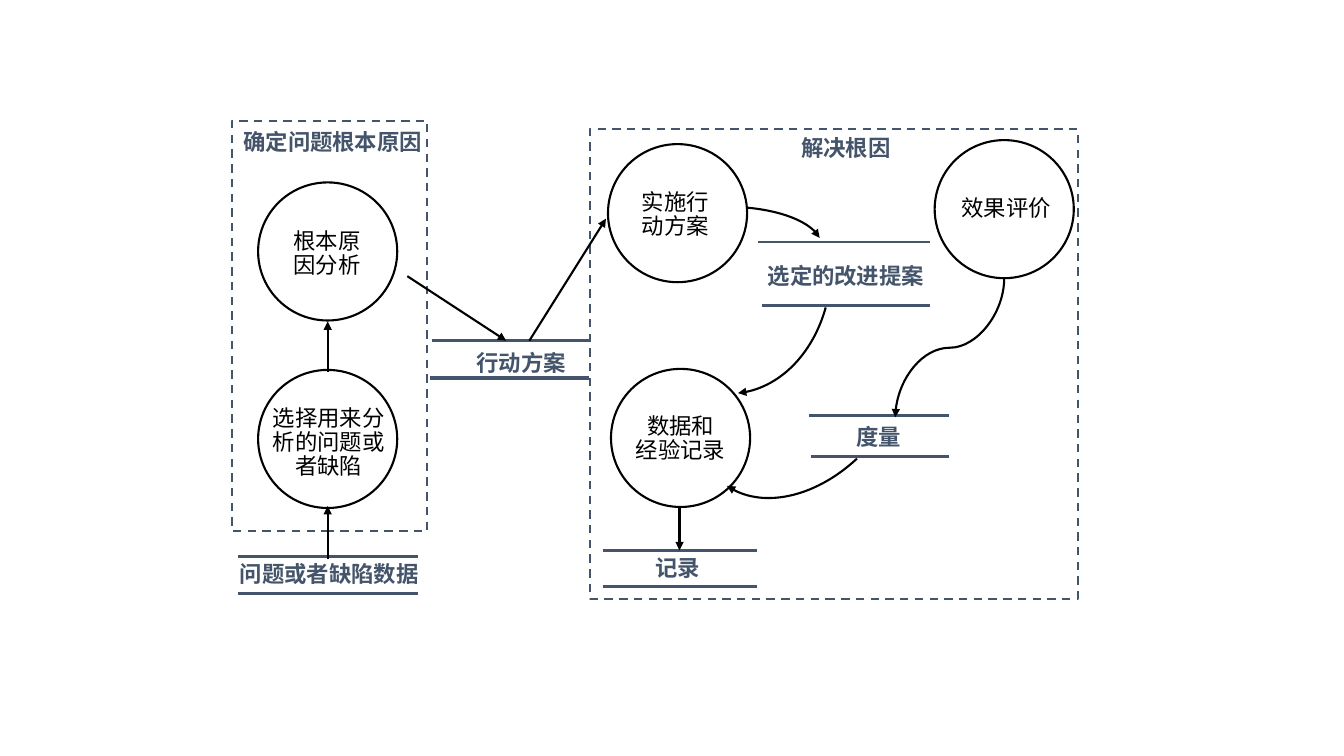
from lxml import etree
from pptx import Presentation
from pptx import util as u
from pptx.dml.color import RGBColor
from pptx.enum import dml, shapes, text
from pptx.oxml.ns import qn

SLATE = RGBColor(0x44, 0x54, 0x6A)
BLACK = RGBColor(0, 0, 0)
WHITE = RGBColor(0xFF, 0xFF, 0xFF)


class Diagram:
    PX = 9144
    FONT = "Noto Sans CJK SC"
    SIZE = u.Pt(16)
    CURVE_STEPS = 32

    def __init__(self, slide):
        self.slide = slide

    def px(self, *lengths):
        return [u.Emu(length * self.PX) for length in lengths]

    def outline(self, line, color, width):
        line.color.rgb = color
        line.width = u.Pt(width)

    def arrowhead(self, shape):
        line_xml = shape.line._get_or_add_ln()
        etree.SubElement(line_xml, qn("a:tailEnd"), type="triangle")

    def frame(self, *box):
        frame = self.slide.shapes.add_shape(shapes.MSO_SHAPE.RECTANGLE, *self.px(*box))
        frame.shadow.inherit = False
        frame.fill.solid()
        frame.fill.fore_color.rgb = WHITE
        self.outline(frame.line, SLATE, 1.5)
        frame.line.dash_style = dml.MSO_LINE.DASH

    def circle(self, left, top, diameter=138):
        circle = self.slide.shapes.add_shape(
            shapes.MSO_SHAPE.OVAL, *self.px(left, top, diameter, 137))
        circle.shadow.inherit = False
        circle.fill.background()
        self.outline(circle.line, BLACK, 1.5)

    def label(self, box, paragraphs, color=BLACK, spacing=0.9, inset=(10, 5)):
        frame = self.slide.shapes.add_textbox(*self.px(*box)).text_frame
        frame.word_wrap = False
        frame.auto_size = text.MSO_AUTO_SIZE.SHAPE_TO_FIT_TEXT
        frame.margin_left, frame.margin_top = self.px(*inset)
        frame.margin_right, frame.margin_bottom = self.px(*inset)
        for index, content in enumerate(paragraphs):
            paragraph = frame.add_paragraph() if index else frame.paragraphs[0]
            paragraph.alignment = text.PP_ALIGN.CENTER
            paragraph.line_spacing = spacing
            for part, words in enumerate(content.split("\n")):
                if part:
                    paragraph.add_line_break()
                run = paragraph.add_run()
                run.text = words
                run.font.size = self.SIZE
                run.font.name = self.FONT
                run.font.bold = color == SLATE
                run.font.color.rgb = color
                etree.SubElement(run.font._element, qn("a:ea"), typeface=self.FONT)

    def connector(self, start, end, color, width, kind=shapes.MSO_CONNECTOR.STRAIGHT):
        connector = self.slide.shapes.add_connector(kind, *self.px(*start, *end))
        self.outline(connector.line, color, width)
        etree.SubElement(connector._element.spPr, qn("a:effectLst"))
        return connector

    def store_edge(self, left, right, y, width=2):
        self.connector((left, y), (right, y), SLATE, width)

    def arrow(self, start, end, width=1.5):
        self.arrowhead(self.connector(start, end, BLACK, width))

    def s_arrow(self, start, end):
        center_x, center_y = (start[0] + end[0]) / 2, (start[1] + end[1]) / 2
        half_width, half_height = (end[1] - start[1]) / 2, (start[0] - end[0]) / 2
        corner = int(center_x - half_width), int(center_y - half_height)
        opposite = int(center_x + half_width), int(center_y + half_height)
        bend = self.connector(corner, opposite, BLACK, 1.5, shapes.MSO_CONNECTOR.CURVE)
        bend._element.spPr.find(qn("a:xfrm")).set("rot", str(90 * 60000))
        self.arrowhead(bend)

    def arc_arrow(self, *controls):
        points = []
        for step in range(self.CURVE_STEPS + 1):
            t = step / self.CURVE_STEPS
            weights = ((1 - t) ** 3, 3 * t * (1 - t) ** 2, 3 * t * t * (1 - t), t ** 3)
            points.append([sum(w * c[axis] for w, c in zip(weights, controls)) * self.PX
                           for axis in (0, 1)])
        builder = self.slide.shapes.build_freeform(*map(round, points[0]))
        builder.add_line_segments([tuple(map(round, p)) for p in points[1:]], close=False)
        arc = builder.convert_to_shape()
        arc.shadow.inherit = False
        arc.fill.background()
        self.outline(arc.line, BLACK, 1.5)
        self.arrowhead(arc)


def main():
    deck = Presentation()
    deck.slide_width, deck.slide_height = u.Inches(13.33), u.Inches(7.5)
    diagram = Diagram(deck.slides.add_slide(deck.slide_layouts[6]))

    diagram.frame(230, 120, 194, 407)
    diagram.frame(585, 128, 484, 466)

    for activity_box, paragraphs in (
        ((167, 399, 318, 88), ("选择用来分", "析的问题或", "者缺陷")),
        ((240, 223, 169, 59), ("根本原", "因分析")),
        ((626, 185, 88, 59), ("实施行", "动方案")),
        ((943, 191, 110, 35), ("效果评价",)),
        ((620, 407, 110, 59), ("数据和\n经验记录",)),
    ):
        diagram.label(activity_box, paragraphs)
    for left, top in ((603, 143), (256, 367), (927, 139), (256, 181), (606, 366)):
        diagram.circle(left, top)

    for heading_box, heading in (
        ((229, 125, 202, 35), "确定问题根本原因"),
        ((783, 131, 112, 35), "解决根因"),
    ):
        diagram.label(heading_box, (heading,), SLATE, 0.85, (11, 6))

    for store_box, store, spacing in (
        ((738, 259, 202, 34), "选定的改进提案", 0.85),
        ((575, 548, 194, 35), "记录", 0.9),
        ((839, 419, 65, 34), "度量", 0.85),
        ((222, 554, 209, 35), "问题或者缺陷数据", 0.9),
    ):
        diagram.label(store_box, (store,), SLATE, spacing)
    diagram.label((472, 346, 90, 27), ("行动方案",), SLATE, 1.0, (0, 0))

    for edge in (
        (752, 922, 240), (756, 922, 303),
        (598, 751, 546), (598, 751, 582),
        (802, 941, 412), (804, 941, 453),
        (236, 415, 552), (236, 415, 589),
        (428, 585, 338, 2.25), (427, 584, 375, 2.25),
    ):
        diagram.store_edge(*edge)

    diagram.arrow((325, 555), (325, 502))
    diagram.arrow((325, 369), (325, 319))
    diagram.arrow((404, 274), (502, 338))
    diagram.arrow((525, 338), (601, 217))
    diagram.arrow((674, 503), (674, 546), 2)
    diagram.s_arrow((996, 276), (888, 414))
    diagram.arc_arrow((740, 206), (775, 209), (804, 220), (813, 236))
    diagram.arc_arrow((819, 305), (806, 352), (772, 386), (732, 390))
    diagram.arc_arrow((850, 455), (807, 495), (754, 505), (721, 482))

    deck.save("out.pptx")


if __name__ == "__main__":
    main()
